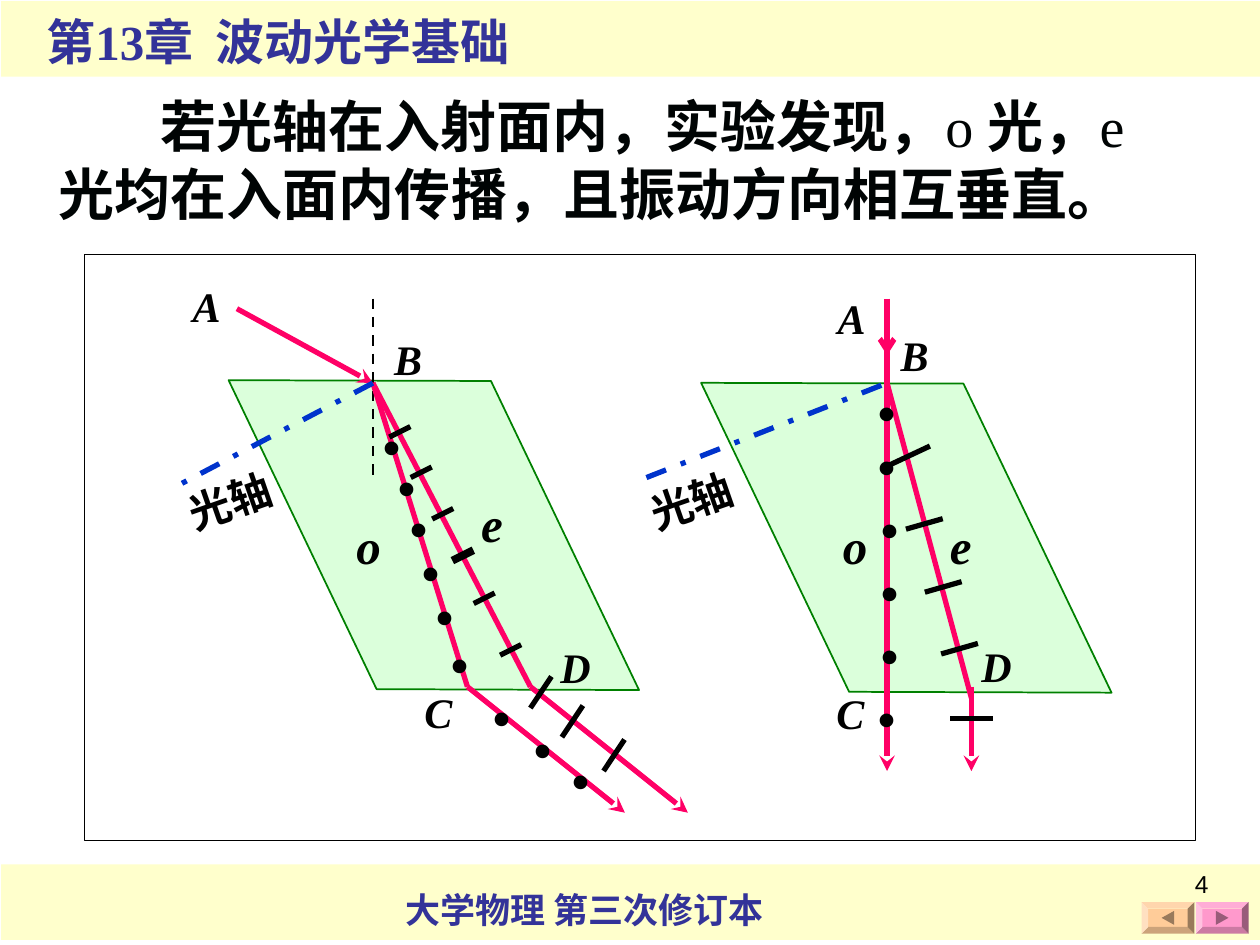
from lxml import etree
from pptx import Presentation
from pptx.dml.color import RGBColor
from pptx.enum.dml import MSO_LINE
from pptx.enum.shapes import MSO_CONNECTOR, MSO_SHAPE
from pptx.enum.text import MSO_ANCHOR, MSO_AUTO_SIZE, PP_ALIGN
from pptx.oxml.ns import qn
from pptx.util import Pt

STRAIGHT = MSO_CONNECTOR.STRAIGHT
RECTANGLE, BEVEL = MSO_SHAPE.RECTANGLE, MSO_SHAPE.BEVEL
PARALLELOGRAM, TRIANGLE = MSO_SHAPE.PARALLELOGRAM, MSO_SHAPE.ISOSCELES_TRIANGLE
DASH, DASH_DOT = MSO_LINE.DASH, MSO_LINE.DASH_DOT
LEFT, RIGHT = PP_ALIGN.LEFT, PP_ALIGN.RIGHT

THEME = {
    "serif": "Times New Roman", "sans": "Arial",
    "band": "FFFFCC", "heading": "333399", "body": "000404", "black": "000000",
    "ray": "FF0066", "axis": "0033CC", "crystal": "CCFFCC", "edge": "008000",
    "back": "FFCC99", "back_arrow": "997A5C", "next": "FF99CC", "next_arrow": "995C7A",
    "title_size": 28, "body_size": 32, "footer_size": 20, "number_size": 14,
    "point_size": 24, "ray_size": 28, "dot_size": 48,
}


def write_text(shape, runs, size, color="black", font="serif", italic=False,
               wrap=True, align=LEFT):
    """Fill a shape with one paragraph of (text, bold) runs."""
    frame = shape.text_frame
    frame_format = {"word_wrap": wrap, "auto_size": MSO_AUTO_SIZE.NONE,
                    "vertical_anchor": MSO_ANCHOR.TOP}
    for name, value in frame_format.items():
        setattr(frame, name, value)
    paragraph = frame.paragraphs[0]
    paragraph.alignment = align
    for text, bold in runs:
        run = paragraph.add_run()
        run.text = text
        run_format = {"name": THEME[font], "size": Pt(THEME[size]),
                      "bold": bold, "italic": italic}
        for name, value in run_format.items():
            setattr(run.font, name, value)
        run.font.color.rgb = RGBColor.from_string(THEME[color])
    return paragraph


def draw_line(start, end, color="black", width=3, dash=None, arrow=None):
    """Draw a straight line, with an optional arrowhead at its end."""
    line = shapes.add_connector(STRAIGHT, *map(Pt, start + end))
    line.line.color.rgb = RGBColor.from_string(THEME[color])
    line.line.width = Pt(width)
    if dash:
        line.line.dash_style = dash
    if arrow:
        etree.SubElement(line.line._get_or_add_ln(), qn("a:tailEnd"), type=arrow)
    etree.SubElement(line.element.spPr, qn("a:effectLst"))


presentation = Presentation()
presentation.slide_width, presentation.slide_height = Pt(720), Pt(540)
slide = presentation.slides.add_slide(presentation.slide_layouts[5])
shapes = slide.shapes

# Header and footer bands
for top in (0.7, 494):
    band = shapes.add_shape(RECTANGLE, Pt(0.7), Pt(top), Pt(719.3), Pt(43.2))
    band.shadow.inherit = False
    band.fill.solid()
    band.fill.fore_color.rgb = RGBColor.from_string(THEME["band"])
    band.line.fill.background()

# Title, brought in front of the header band
title = shapes.title
title_place = {"left": 19.4, "top": 2.9, "width": 321, "height": 41}
for name, value in title_place.items():
    setattr(title, name, Pt(value))
write_text(title, [("第13章  波动光学基础", True)], "title_size", "heading", wrap=False)
title.element.getparent().append(title.element)

# Footer text
footer = shapes.add_textbox(Pt(224.6), Pt(504), Pt(224.6), Pt(31.7))
write_text(footer, [("大学物理 第三次修订本", True)], "footer_size", "heading", wrap=False)

# Navigation buttons
for left, name, rotation in ((652.3, "back", -90), (683.3, "next", 90)):
    button = shapes.add_shape(BEVEL, Pt(left), Pt(515.5), Pt(30.2), Pt(18))
    button.adjustments[0] = 0.21
    arrow = shapes.add_shape(TRIANGLE, Pt(left + 11.1), Pt(520.9), Pt(8), Pt(7.2))
    arrow.rotation = rotation
    for shape, color in ((button, name), (arrow, name + "_arrow")):
        shape.shadow.inherit = False
        shape.fill.solid()
        shape.fill.fore_color.rgb = RGBColor.from_string(THEME[color])
        shape.line.fill.background()

# Diagram frame
frame = shapes.add_shape(RECTANGLE, Pt(48.2), Pt(145.4), Pt(635), Pt(334.8))
frame.shadow.inherit = False
frame.fill.background()
frame.line.color.rgb = RGBColor.from_string(THEME["black"])
frame.line.width = Pt(0.75)

# Statement
statement = shapes.add_textbox(Pt(26.6), Pt(49), Pt(656), Pt(84.2))
paragraph = write_text(statement, [
    ("若光轴在入射面内，实验发现，", True), ("o ", False), ("光，", True),
    ("e ", False), ("光均在入面内传播，且振动方向相互垂直。", True),
], "body_size", "body")
paragraph._p.get_or_add_pPr().set("indent", str(Pt(58)))

# The two cases: oblique incidence (left) and normal incidence (right)
cases = [
    {
        "crystal": (117.4, 238.3),
        "lines": [
            ((213.1, 170.6), (213.1, 272.9), "black", 1.5, DASH),
            ((135.4, 176.4), (213.1, 218.9), "ray", 3, None, "stealth"),
            ((213.1, 218.9), (267.1, 392.4), "ray"),
            ((213.1, 218.9), (303.1, 392.4), "ray"),
            ((213.1, 218.9), (99.4, 278.6), "axis", 3, DASH_DOT),
            ((267.1, 392.4), (357.1, 464.4), "ray", 3, None, "stealth"),
            ((303.1, 392.4), (393.1, 464.4), "ray", 3, None, "stealth"),
        ],
        "dots": [(211, 208), (219.6, 231.8), (226.1, 254.9), (233.3, 280.1),
                 (241.2, 305.3), (249.8, 332.6), (273.6, 362.9), (297.4, 381.6),
                 (319, 398.9)],
        # start x, start y, run, rise, width
        "ticks": [(222.5, 249.8, 12, 6, 3), (234.7, 272.9, 12, 6, 3),
                  (247, 296.6, 12, 6, 3), (258.5, 320.4, 12, 6, 4.5),
                  (270.7, 344.9, 12, 6, 3), (285.8, 374.4, 12, 6, 3),
                  (303.1, 404.6, 12, 18, 3), (321.1, 421.2, 12, 18, 3),
                  (344.9, 440.6, 12, 18, 3)],
        "points": {"A": (103, 157), "B": (218.2, 187.2), "C": (235.4, 388.8),
                   "D": (313.2, 362.9)},
        "rays": {"o": (196.6, 290.9), "e": (267.8, 278.6)},
        "axis_label": (100.1, 266.4),
    },
    {
        "crystal": (387.4, 239.8),
        "lines": [
            ((555.1, 392.4), (555.1, 440.6), "ray", 3, None, "stealth"),
            ((506.9, 170.6), (506.9, 440.6), "ray", 3, None, "stealth"),
            ((369.4, 272.9), (506.9, 218.9), "axis", 3, DASH_DOT),
            ((506.9, 218.9), (555.1, 398.9), "ray"),
            ((506.9, 179.3), (506.9, 203), "ray", 3, None, "arrow"),
        ],
        "dots": [(493.9, 188.6), (493.9, 219.6), (495.4, 255.6), (495.4, 291.6),
                 (495.4, 327.6), (493.9, 363.6)],
        "ticks": [(506.9, 266.4, 24.5, 11.5, 3), (517.7, 302.4, 21, 6, 3),
                  (528.5, 338.4, 21, 6, 3), (537.8, 373.7, 21, 6, 3),
                  (542.9, 410.4, 24.5, 0, 3)],
        "points": {"A": (471.6, 163.4), "B": (507.6, 185), "C": (470.9, 389.5),
                   "D": (553.7, 362.2)},
        "rays": {"o": (474.5, 290.9), "e": (535.7, 290.9)},
        "axis_label": (363.6, 266.4),
    },
]

for case in cases:
    # Crystal
    left, top = case["crystal"]
    crystal = shapes.add_shape(PARALLELOGRAM, Pt(left), Pt(top), Pt(261), Pt(135))
    crystal.adjustments[0] = 0.483
    crystal.rotation = 64.4
    crystal.shadow.inherit = False
    crystal.fill.solid()
    crystal.fill.fore_color.rgb = RGBColor.from_string(THEME["crystal"])
    color_element = crystal.element.spPr.find(".//" + qn("a:srgbClr"))
    etree.SubElement(color_element, qn("a:alpha"), val="70000")
    crystal.line.color.rgb = RGBColor.from_string(THEME["edge"])
    crystal.line.width = Pt(1)

    # Rays, optical axis and surface normal
    for line in case["lines"]:
        draw_line(*line)

    # Vibration marks: dots on the o ray, ticks on the e ray
    for left, top in case["dots"]:
        dot = shapes.add_textbox(Pt(left), Pt(top), Pt(26), Pt(64.8))
        write_text(dot, [(".", True)], "dot_size", wrap=False)
    for x, y, run, rise, width in case["ticks"]:
        draw_line((x, y), (x + run, y - rise), width=width)

    # Labels
    for group, size, width, height in (("points", "point_size", 43.2, 36),
                                       ("rays", "ray_size", 37.4, 41)):
        for text, (left, top) in case[group].items():
            label = shapes.add_textbox(Pt(left), Pt(top), Pt(width), Pt(height))
            write_text(label, [(text, True)], size, italic=True)
    left, top = case["axis_label"]
    label = shapes.add_textbox(Pt(left), Pt(top), Pt(73.4), Pt(36))
    label.rotation = -19.2
    write_text(label, [("光轴", True)], "point_size")

# Slide number
number = shapes.add_textbox(Pt(529.9), Pt(493.2), Pt(167.8), Pt(37.4))
write_text(number, [("4", False)], "number_size", font="sans", align=RIGHT)

presentation.save("out.pptx")
